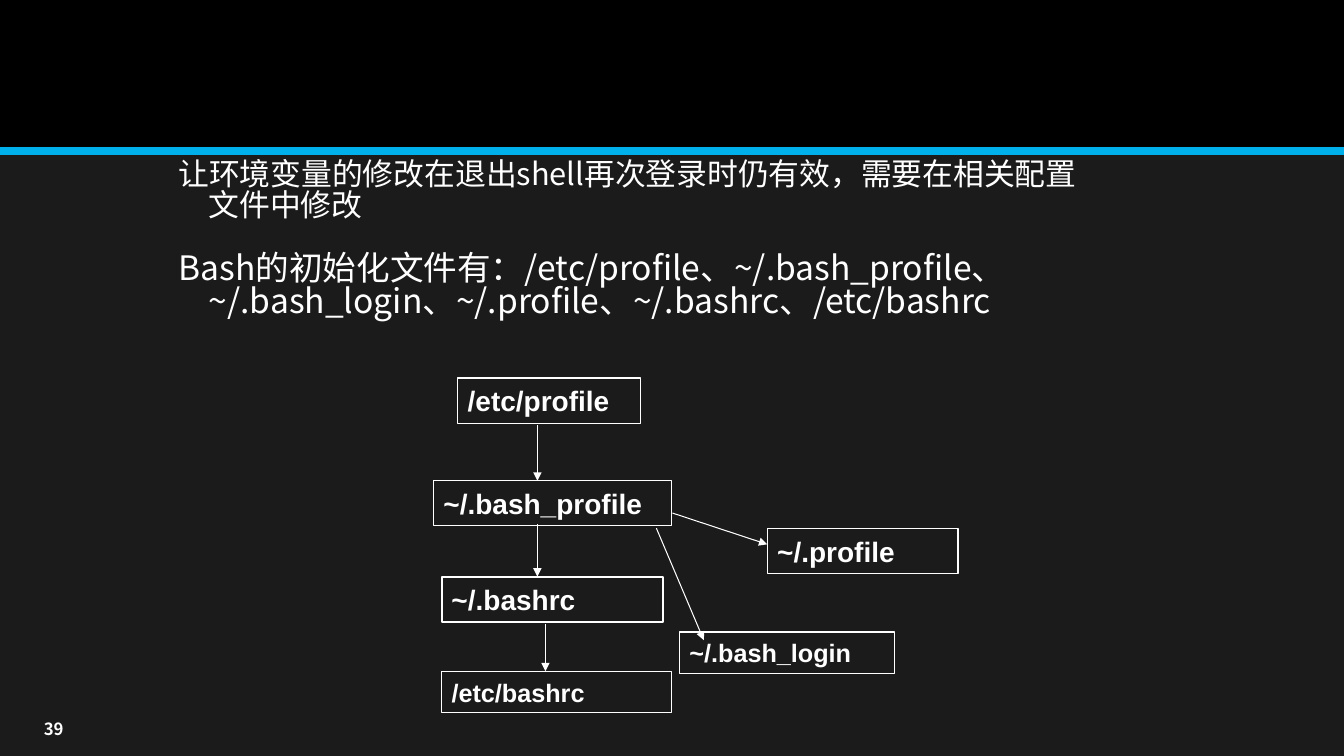
from pptx import Presentation
from pptx.dml.color import RGBColor
from pptx.enum.shapes import MSO_CONNECTOR, MSO_SHAPE
from pptx.enum.text import MSO_ANCHOR, MSO_AUTO_SIZE, PP_ALIGN
from pptx.oxml.ns import qn
from pptx.util import Inches, Pt
from lxml import etree

STRAIGHT = MSO_CONNECTOR.STRAIGHT
RECTANGLE = MSO_SHAPE.RECTANGLE
MIDDLE, TOP = MSO_ANCHOR.MIDDLE, MSO_ANCHOR.TOP
NO_AUTOFIT = MSO_AUTO_SIZE.NONE
LEFT, RIGHT = PP_ALIGN.LEFT, PP_ALIGN.RIGHT

COLORS = {"background": "1B1B1B", "header": "000000", "accent": "00B0EA", "ink": "FFFFFF"}
BODY_FONT, LABEL_FONT = "Noto Sans CJK SC", "Arial"
COLUMNS, ROWS = 133.3, 75  # grid cells of a tenth of an inch


class SlideBuilder:
    def __init__(self, deck):
        self.slide = deck.slides.add_slide(deck.slide_layouts[1])
        self.cell_width = deck.slide_width / COLUMNS
        self.cell_height = deck.slide_height / ROWS
        self.fill(self.slide.background, "background")
        title = self.slide.shapes.title._element
        title.getparent().remove(title)

    def place(self, column, row, width, height):
        return (round(column * self.cell_width), round(row * self.cell_height),
                round(width * self.cell_width), round(height * self.cell_height))

    def color(self, name):
        return RGBColor.from_string(COLORS[name])

    def fill(self, target, name):
        target.fill.solid()
        target.fill.fore_color.rgb = self.color(name)

    def font(self, paragraph, size, name, bold=False):
        font = paragraph.font
        font.size, font.name, font.bold = Pt(size), name, bold
        font.color.rgb = self.color("ink")
        properties = paragraph._p.pPr.find(qn("a:defRPr"))
        etree.SubElement(properties, qn("a:ea")).set("typeface", name)

    def frame(self, shape, anchor):
        frame = shape.text_frame
        frame.word_wrap = True
        frame.auto_size = NO_AUTOFIT
        frame.vertical_anchor = anchor
        return frame

    def body(self, area, items):
        body = self.slide.placeholders[1]
        body.left, body.top, body.width, body.height = self.place(*area)
        frame = self.frame(body, TOP)
        for index, (text, size) in enumerate(items):
            paragraph = frame.add_paragraph() if index else frame.paragraphs[0]
            paragraph.text = text
            paragraph.alignment = LEFT
            paragraph.line_spacing = 0.83
            paragraph.space_before = Pt(22 if index else 0)
            properties = paragraph._p.get_or_add_pPr()
            properties.set("marL", str(Inches(0.3)))
            properties.set("indent", str(Inches(-0.3)))
            etree.SubElement(properties, qn("a:buNone"))
            self.font(paragraph, size, BODY_FONT)

    def band(self, area, color):
        band = self.slide.shapes.add_shape(RECTANGLE, *self.place(*area))
        band.shadow.inherit = False
        self.fill(band, color)
        band.line.fill.background()

    def file_box(self, area, label, size, line_width):
        box = self.slide.shapes.add_shape(RECTANGLE, *self.place(*area))
        box.shadow.inherit = False
        box.fill.background()
        box.line.color.rgb = self.color("ink")
        box.line.width = Pt(line_width)
        paragraph = self.frame(box, MIDDLE).paragraphs[0]
        paragraph.text = label
        paragraph.alignment = LEFT
        self.font(paragraph, size, LABEL_FONT, bold=True)

    def line(self, start, end, color, width, arrow=False):
        line = self.slide.shapes.add_connector(
            STRAIGHT, *self.place(*start, *end))
        line.line.color.rgb = self.color(color)
        line.line.width = Pt(width)
        if arrow:
            outline = line.line._get_or_add_ln()
            etree.SubElement(outline, qn("a:tailEnd")).set("type", "triangle")
        etree.SubElement(line._element.spPr, qn("a:effectLst"))

    def page_number(self, area, number):
        box = self.slide.shapes.add_textbox(*self.place(*area))
        paragraph = self.frame(box, MIDDLE).paragraphs[0]
        paragraph.text = number
        paragraph.alignment = RIGHT
        self.font(paragraph, 12, BODY_FONT, bold=True)


def main():
    deck = Presentation()
    deck.slide_width, deck.slide_height = Inches(13.33), Inches(7.5)
    page = SlideBuilder(deck)

    # Header band and page number
    page.band((0, 0, COLUMNS, 15), "header")
    page.line((0, 15), (COLUMNS, 15), "accent", 6)
    page.page_number((1.6, 70.8, 5.7, 3), "39")

    # Explanation
    page.body((16.7, 15.5, 92.3, 59.5), [
        ("让环境变量的修改在退出shell再次登录时仍有效，需要在相关配置文件中修改", 22),
        ("Bash的初始化文件有：/etc/profile、~/.bash_profile、~/.bash_login、"
         "~/.profile、~/.bashrc、/etc/bashrc", 24),
    ])

    # Initialisation files: area, label, text size, outline width
    for file_entry in [
        ((45.4, 37.5, 18.1, 4.5), "/etc/profile", 20, 1),
        ((43, 47.7, 23.6, 4.4), "~/.bash_profile", 20, 0.75),
        ((43.8, 57.2, 22, 4.5), "~/.bashrc", 20, 1.5),
        ((43.8, 66.6, 22.8, 4.1), "/etc/bashrc", 18, 1),
        ((67.4, 62.7, 21.3, 4.1), "~/.bash_login", 18, 1),
        ((76.1, 52.4, 18.9, 4.5), "~/.profile", 20, 1),
    ]:
        page.file_box(*file_entry)

    # Reading order: the main chain, then the two alternatives
    for start, end in [
        ((53.3, 42.2), (53.3, 47.7)),
        ((53.3, 52), (53.3, 57.2)),
        ((54.1, 61.9), (54.1, 66.6)),
        ((65.1, 52.4), (69.8, 63.5)),
        ((66.7, 50.9), (76.1, 54)),
    ]:
        page.line(start, end, "ink", 0.75, arrow=True)

    deck.save("out.pptx")


if __name__ == "__main__":
    main()
